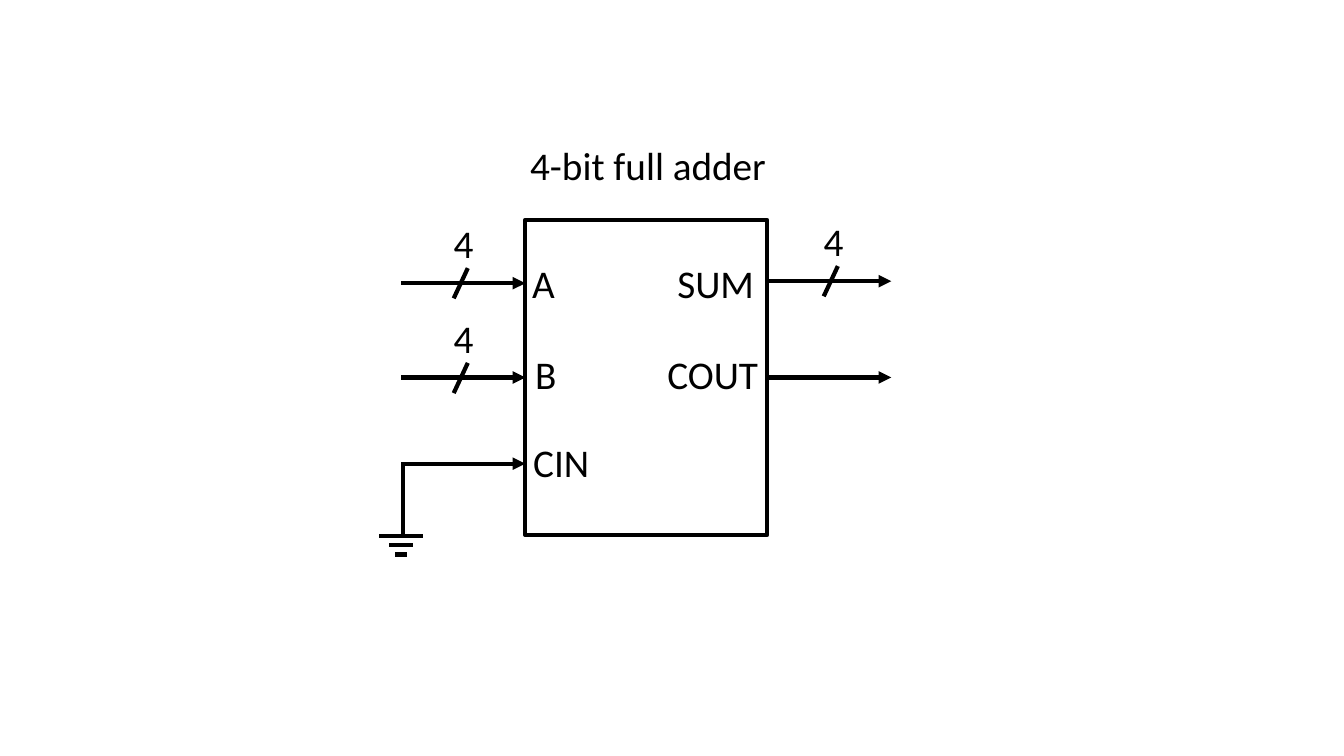
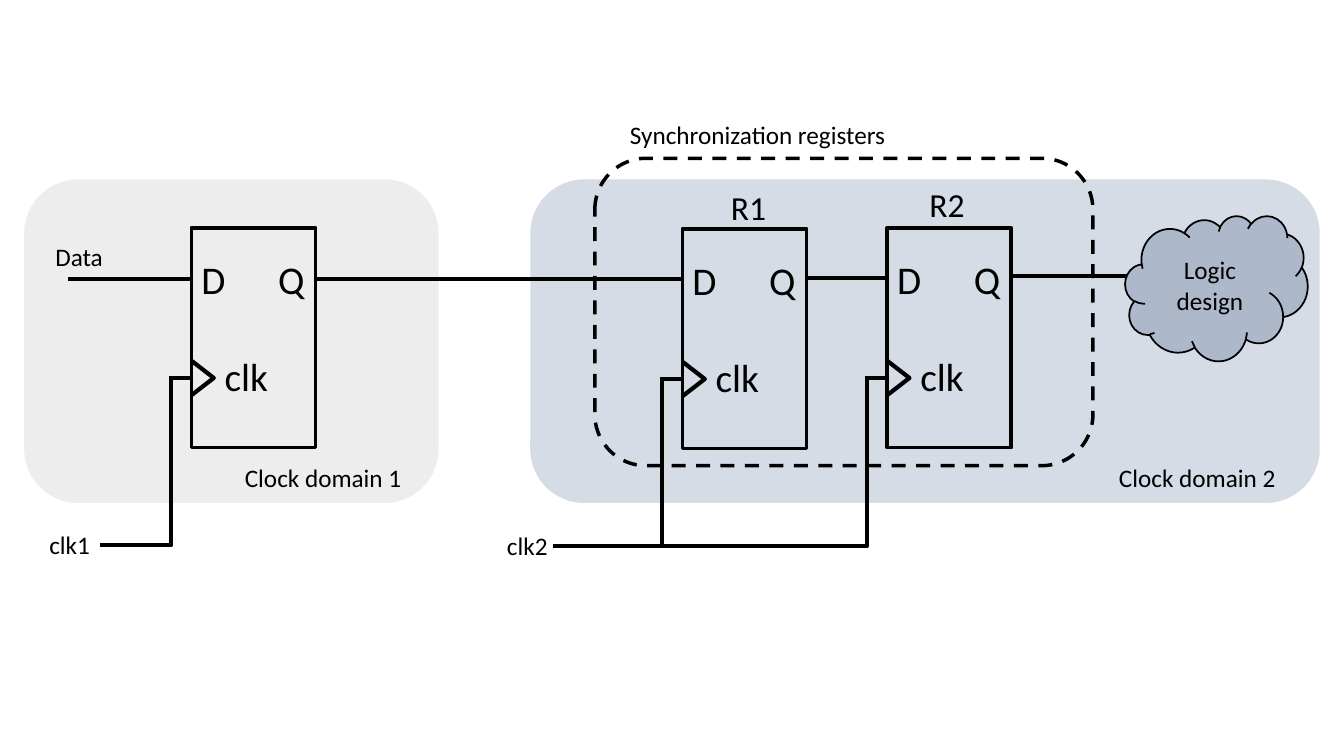
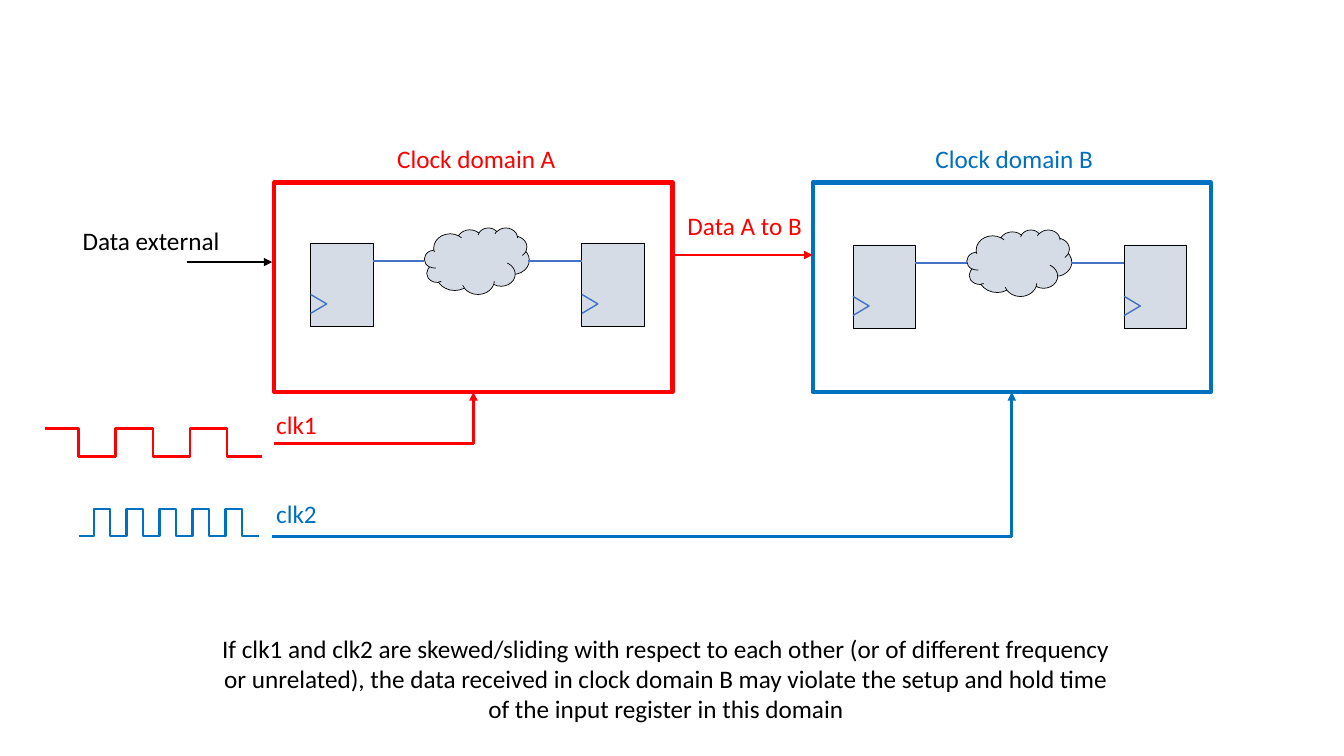
from dataclasses import dataclass
from typing import NamedTuple, Optional

from lxml.etree import SubElement
from pptx import Presentation
from pptx.dml.color import RGBColor
from pptx.enum.dml import MSO_LINE
from pptx.enum.shapes import MSO_CONNECTOR as Link, MSO_SHAPE as Geo
from pptx.enum.text import MSO_ANCHOR, MSO_AUTO_SIZE, PP_ALIGN
from pptx.oxml.ns import qn
from pptx.util import Inches, Pt

COLS, ROWS = 13.33, 7.5  # grid of one-inch cells
FONT = "Calibri"
BLACK = RGBColor(0x00, 0x00, 0x00)
RED = RGBColor(0xFF, 0x00, 0x00)
BLUE = RGBColor(0x00, 0x70, 0xC0)
THIN_BLUE = RGBColor(0x44, 0x72, 0xC4)
PALE_GREY = RGBColor(0xED, 0xED, 0xED)
PALE_BLUE = RGBColor(0xD6, 0xDC, 0xE5)
MID_BLUE = RGBColor(0xAD, 0xB9, 0xCA)


class Point(NamedTuple):
    col: float
    row: float

    def shift(self, cols: float, rows: float) -> "Point":
        return Point(self.col + cols, self.row + rows)


class Box(NamedTuple):
    col: float
    row: float
    cols: float
    rows: float


class Pen(NamedTuple):
    color: RGBColor
    width: float
    dash: Optional[MSO_LINE] = None


WIRE = Pen(BLACK, 3)
OUTLINE = Pen(BLACK, 2.75)
HAIRLINE = Pen(BLACK, 0.5)
INNER = Pen(THIN_BLUE, 1)


@dataclass(frozen=True)
class Label:
    text: str
    col: float
    row: float
    cols: float
    size: int = 18
    color: RGBColor = BLACK
    wrap: bool = False
    align: PP_ALIGN = PP_ALIGN.LEFT


@dataclass(frozen=True)
class ClockDomain:
    label: Label
    frame: Box
    registers: Point


@dataclass(frozen=True)
class Wave:
    """A square wave whose edges are evenly spaced from first to last."""
    start: float
    first: float
    last: float
    end: float
    edges: int
    level: float
    other_level: float
    color: RGBColor


def apply_pen(line, pen: Optional[Pen]) -> None:
    if pen is None:
        line.fill.background()
        return
    line.color.rgb = pen.color
    line.width = Pt(pen.width)
    if pen.dash:
        line.dash_style = pen.dash


def add_run(p, text: str, size: int, color: RGBColor) -> None:
    r = p.add_run()
    r.text = text
    r.font.name, r.font.size, r.font.color.rgb = FONT, Pt(size), color


def draw_label(s, label: Label) -> None:
    rows = 0.1 + label.size / 60
    tb = s.shapes.add_textbox(*map(Inches, (label.col, label.row, label.cols, rows)))
    tf = tb.text_frame
    tf.word_wrap = label.wrap
    tf.auto_size = MSO_AUTO_SIZE.SHAPE_TO_FIT_TEXT
    p = tf.paragraphs[0]
    p.alignment = label.align
    add_run(p, label.text, label.size, label.color)


def draw_shape(s, geo: Geo, box: Box, pen: Optional[Pen] = None,
               fill: Optional[RGBColor] = None):
    sp = s.shapes.add_shape(geo, *map(Inches, box))
    sp.shadow.inherit = False
    apply_pen(sp.line, pen)
    if fill is None:
        sp.fill.background()
    else:
        sp.fill.solid()
        sp.fill.fore_color.rgb = fill
    return sp


def draw_link(s, begin: Point, end: Point, pen: Pen = WIRE,
              arrow: bool = False, bent: bool = False):
    """Draw a straight connector, or one running across and then up."""
    kind = Link.ELBOW if bent else Link.STRAIGHT
    cxn = s.shapes.add_connector(kind, *map(Inches, (*begin, *end)))
    apply_pen(cxn.line, pen)
    props = cxn._element.spPr
    if bent:
        props.find(qn("a:prstGeom")).set("prst", "bentConnector2")
    if arrow:
        SubElement(cxn.get_or_add_ln(), qn("a:tailEnd")).set("type", "triangle")
    SubElement(props, qn("a:effectLst"))
    return cxn


def draw_outline(s, points: list[Point], pen: Pen) -> None:
    """Draw an open line through the points."""
    start, *rest = [(Inches(col), Inches(row)) for col, row in points]
    builder = s.shapes.build_freeform(*start)
    builder.add_line_segments(rest, close=False)
    sp = builder.convert_to_shape()
    sp.shadow.inherit = False
    sp.fill.background()
    apply_pen(sp.line, pen)


def draw_clock_mark(s, top: Point, cols: float, rows: float, pen: Pen) -> None:
    draw_outline(s, [top, top.shift(cols, rows / 2), top.shift(0, rows)], pen)


def draw_bus_mark(s, center: Point) -> None:
    draw_link(s, center.shift(-0.07, 0.15), center.shift(0.07, -0.15))
    draw_label(s, Label("4", center.col - 0.17, center.row - 0.68, 0.4, 28))


def draw_flip_flop(s, corner: Point) -> None:
    draw_shape(s, Geo.RECTANGLE, Box(*corner, 1.23, 2.18), OUTLINE)
    for text, cols, rows, width in (("D", 0, 0.22, 0.44), ("Q", 0.76, 0.22, 0.47),
                                    ("clk", 0.23, 1.19, 0.64)):
        draw_label(s, Label(text, *corner.shift(cols, rows), width, 28))
    draw_clock_mark(s, corner.shift(0, 1.32), 0.22, 0.34, WIRE)
    draw_link(s, corner.shift(-0.22, 1.49), corner.shift(0, 1.49))


def draw_register_pair(s, corner: Point) -> None:
    for cols in (0, 2.69):
        reg = corner.shift(cols, 0)
        draw_shape(s, Geo.RECTANGLE, Box(*reg, 0.62, 0.83), HAIRLINE, PALE_BLUE)
        draw_clock_mark(s, reg.shift(0, 0.51), 0.16, 0.19, INNER)
    draw_shape(s, Geo.CLOUD, Box(*corner.shift(1.13, -0.15), 1.04, 0.66),
               HAIRLINE, PALE_BLUE)
    for left, right in ((0.62, 1.13), (2.16, 2.69)):
        draw_link(s, corner.shift(left, 0.18), corner.shift(right, 0.18), INNER)


def draw_wave(s, wave: Wave) -> None:
    step = (wave.last - wave.first) / (wave.edges - 1)
    now, then = wave.level, wave.other_level
    points = [Point(wave.start, now)]
    for i in range(wave.edges):
        col = wave.first + i * step
        points += [Point(col, now), Point(col, then)]
        now, then = then, now
    points.append(Point(wave.end, now))
    draw_outline(s, points, Pen(wave.color, 1.75))


def build_adder(s) -> None:
    box = Box(5.21, 2.18, 2.4, 3.13)
    left, right, middle = box.col, box.col + box.cols, box.row + box.rows / 2
    length = 1.23
    adder = draw_shape(s, Geo.RECTANGLE, box, OUTLINE)

    for row in (2.81, middle, 4.6):
        cxn = draw_link(s, Point(left - length, row), Point(left, row), arrow=True)
        if row == middle:
            cxn.end_connect(adder, 1)
    for row in (2.79, middle):
        cxn = draw_link(s, Point(right, row), Point(right + length, row), arrow=True)
        if row == middle:
            cxn.begin_connect(adder, 3)

    draw_link(s, Point(4, 5.32), Point(4, 4.58))
    for row, half in ((5.32, 0.22), (5.41, 0.12), (5.5, 0.06)):
        draw_link(s, Point(3.98 - half, row), Point(3.98 + half, row))

    for text, col, row, cols in (
            ("4-bit full adder", 5.16, 1.35, 2.57), ("A", 5.18, 2.52, 0.43),
            ("B", 5.21, 3.43, 0.42), ("CIN", 5.19, 4.3, 0.76),
            ("SUM", 6.62, 2.52, 0.97), ("COUT", 6.52, 3.43, 1.11)):
        draw_label(s, Label(text, col, row, cols, 28))
    for center in (Point(4.57, 2.81), Point(4.57, 3.75), Point(8.24, 2.79)):
        draw_bus_mark(s, center)


def build_synchronizer(s) -> None:
    draw_shape(s, Geo.ROUNDED_RECTANGLE, Box(0.24, 1.78, 4.11, 3.21), fill=PALE_GREY)
    draw_shape(s, Geo.ROUNDED_RECTANGLE, Box(5.26, 1.78, 7.83, 3.21), fill=PALE_BLUE)

    source, r1, r2 = (Point(col, row) for col, row in
                      ((1.9, 2.26), (6.77, 2.27), (8.8, 2.26)))
    for corner in (source, r1, r2):
        draw_flip_flop(s, corner)
    for begin, end, row in ((0.67, 1.9, 2.77), (3.13, 6.77, 2.77),
                            (8, 8.8, 2.76), (10.03, 11.2, 2.74)):
        draw_link(s, Point(begin, row), Point(end, row))

    draw_link(s, Point(0.99, 5.41), source.shift(-0.2, 1.49), bent=True)
    draw_link(s, Point(5.48, 5.42), r2.shift(-0.2, 1.49), bent=True)
    draw_link(s, Point(r1.col - 0.2, 5.42), r1.shift(-0.2, 1.49))

    draw_shape(s, Geo.ROUNDED_RECTANGLE, Box(5.9, 1.57, 4.94, 3.05),
               Pen(BLACK, 2.5, MSO_LINE.DASH))
    for label in (
            Label("R1", 7.15, 1.81, 0.55, 24), Label("R2", 9.12, 1.78, 0.55, 24),
            Label("clk1", 0.39, 5.2, 0.61), Label("clk2", 4.93, 5.21, 0.61),
            Label("Clock domain 1", 2.33, 4.54, 1.77),
            Label("Clock domain 2", 11, 4.54, 1.77),
            Label("Synchronization registers", 6.15, 1.13, 2.76),
            Label("Data", 0.45, 2.34, 0.68)):
        draw_label(s, label)

    cloud = draw_shape(s, Geo.CLOUD, Box(11.16, 2.14, 1.81, 1.44),
                       Pen(BLACK, 1.25), MID_BLUE)
    tf = cloud.text_frame
    tf.word_wrap = True
    tf.vertical_anchor = MSO_ANCHOR.MIDDLE
    p = tf.paragraphs[0]
    p.alignment = PP_ALIGN.CENTER
    add_run(p, "Logic design", 18, BLACK)


def build_domain_crossing(s) -> None:
    domains = (
        ClockDomain(Label("Clock domain A", 3.84, 1.37, 1.79, color=RED),
                    Box(2.72, 1.81, 3.95, 2.08), Point(3.08, 2.41)),
        ClockDomain(Label("Clock domain B", 9.18, 1.37, 1.78, color=BLUE),
                    Box(8.06, 1.81, 3.95, 2.08), Point(8.46, 2.43)),
    )
    clock_starts = (Point(2.72, 4.4), Point(2.7, 5.32))
    for domain, start in zip(domains, clock_starts):
        color, frame = domain.label.color, domain.frame
        draw_label(s, domain.label)
        draw_shape(s, Geo.RECTANGLE, frame, Pen(color, 3))
        draw_register_pair(s, domain.registers)
        bottom = Point(frame.col + frame.cols / 2, frame.row + frame.rows)
        draw_link(s, start, bottom, Pen(color, 2), arrow=True, bent=True)

    draw_link(s, Point(1.85, 2.6), Point(2.7, 2.6), Pen(BLACK, 2), arrow=True)
    draw_link(s, Point(6.67, 2.53), Point(8.06, 2.53), Pen(RED, 2), arrow=True)
    draw_wave(s, Wave(0.45, 0.78, 2.25, 2.6, 5, 4.25, 4.53, RED))
    draw_wave(s, Wave(0.78, 0.93, 2.4, 2.57, 10, 5.32, 5.05, BLUE))

    for label in (
            Label("clk1", 2.64, 4.01, 0.61, color=RED),
            Label("clk2", 2.64, 4.89, 0.61, color=BLUE),
            Label("Data external", 0.72, 2.19, 1.68, wrap=True),
            Label("Data A to B", 6.72, 2.04, 1.68, color=RED, wrap=True),
            Label("If clk1 and clk2 are skewed/sliding with respect to each other "
                  "(or of different frequency or unrelated), the data received in "
                  "clock domain B may violate the setup and hold time of the input "
                  "register in this domain",
                  2.04, 6.23, 9.13, wrap=True, align=PP_ALIGN.CENTER)):
        draw_label(s, label)


def main() -> None:
    prs = Presentation()
    prs.slide_width, prs.slide_height = Inches(COLS), Inches(ROWS)
    blank = prs.slide_layouts[6]
    for build in (build_adder, build_synchronizer, build_domain_crossing):
        build(prs.slides.add_slide(blank))
    prs.save("out.pptx")


if __name__ == "__main__":
    main()
